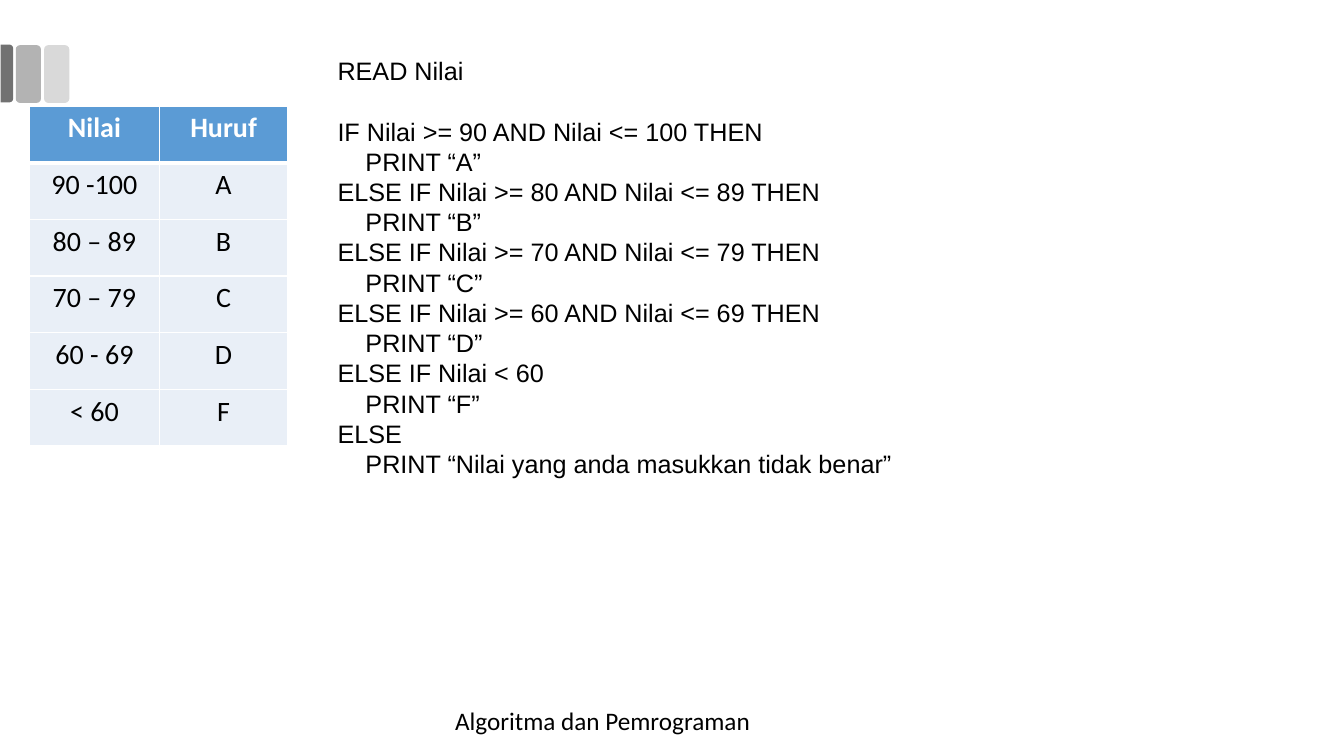
from lxml import etree
from pptx import Presentation
from pptx.dml.color import RGBColor as RGB
from pptx.enum.shapes import MSO_SHAPE as SHAPE
from pptx.enum.text import PP_ALIGN as ALIGN
from pptx.oxml.ns import qn
from pptx.util import Pt

GRADES = [
    ("Nilai", "Huruf"),
    ("90 -100", "A"),
    ("80 – 89", "B"),
    ("70 – 79", "C"),
    ("60 - 69", "D"),
    ("< 60", "F"),
]
CODE = [
    "READ Nilai",
    "IF Nilai >= 90 AND Nilai <= 100 THEN",
    "    PRINT “A”",
    "ELSE IF Nilai >= 80 AND Nilai <= 89 THEN",
    "    PRINT “B”",
    "ELSE IF Nilai >= 70 AND Nilai <= 79 THEN",
    "    PRINT “C”",
    "ELSE IF Nilai >= 60 AND Nilai <= 69 THEN",
    "    PRINT “D”",
    "ELSE IF Nilai < 60",
    "    PRINT “F”",
    "ELSE",
    "    PRINT “Nilai yang anda masukkan tidak benar”",
]
FOOTER = "Algoritma dan Pemrograman"
INK = {"text": "000000", "white": "FFFFFF", "head": "5B9BD5", "body": "E9EFF7",
       "light": "D9D9D9", "mid": "B3B3B3", "dark": "717171"}
BARS = [
    (SHAPE.ROUNDED_RECTANGLE, (42, 43, 24, 55), 0, (0.167,), "light"),
    (SHAPE.ROUNDED_RECTANGLE, (15, 43, 24, 55), 0, (0.167,), "mid"),
    (SHAPE.ROUND_2_SAME_RECTANGLE, (-21, 64, 55, 12), 90, (0.292, 0), "dark"),
]
COLS = (124, 122)
ROW = 54
LINE = Pt(21.6)


def px(*nums):
    return [n * 9525 for n in nums]


def color(key):
    return RGB.from_string(INK[key])


def style(para, face, size, key="text", bold=False):
    for run in para.runs:
        font = run.font
        font.name, font.size, font.bold = face, Pt(size), bold
        font.color.rgb = color(key)


def edge(cell, sides):
    props = cell._tc.get_or_add_tcPr()
    for spot, (side, width) in enumerate(sides.items()):
        line = etree.Element(qn("a:" + side), w=str(Pt(width)))
        fill = etree.SubElement(line, qn("a:solidFill"))
        etree.SubElement(fill, qn("a:srgbClr"), val=INK["white"])
        props.insert(spot, line)


def write(slide, box, lines, face):
    frame = slide.shapes.add_textbox(*px(*box)).text_frame
    frame.word_wrap = True
    frame.text = "\n".join(lines)
    for para in frame.paragraphs:
        style(para, face, 18)
    return frame.paragraphs


def main():
    prs = Presentation()
    prs.slide_width, prs.slide_height = px(1280, 720)
    slide = prs.slides.add_slide(prs.slide_layouts[6])

    for kind, box, turn, curves, key in BARS:
        bar = slide.shapes.add_shape(kind, *px(*box))
        bar.shadow.inherit = False
        bar.rotation = turn
        for n, curve in enumerate(curves):
            bar.adjustments[n] = curve
        bar.fill.solid()
        bar.fill.fore_color.rgb = color(key)
        bar.line.fill.background()

    write(slide, (424, 667, 432, 38), [FOOTER], "Calibri")

    size = px(28, 101, sum(COLS), ROW * len(GRADES))
    table = slide.shapes.add_table(len(GRADES), len(COLS), *size).table
    for col, width in zip(table.columns, px(*COLS)):
        col.width = width
    for r, row in enumerate(GRADES):
        table.rows[r].height = px(ROW)[0]
        for c, text in enumerate(row):
            cell = table.cell(r, c)
            cell.text = text
            cell.fill.solid()
            cell.fill.fore_color.rgb = color("body" if r else "head")
            para = cell.text_frame.paragraphs[0]
            para.alignment = ALIGN.CENTER
            style(para, "Calibri", 20, "text" if r else "white", r == 0)
            edge(cell, {"lnL": 0.96, "lnR": 0.96,
                        "lnT": 3 if r == 1 else 0.96,
                        "lnB": 3 if r == 0 else 0.96})

    paras = write(slide, (312, 48, 936, 528), CODE, "Arial")
    for para in paras:
        para.line_spacing = LINE
    paras[1].space_before = LINE

    prs.save("out.pptx")


if __name__ == "__main__":
    main()
